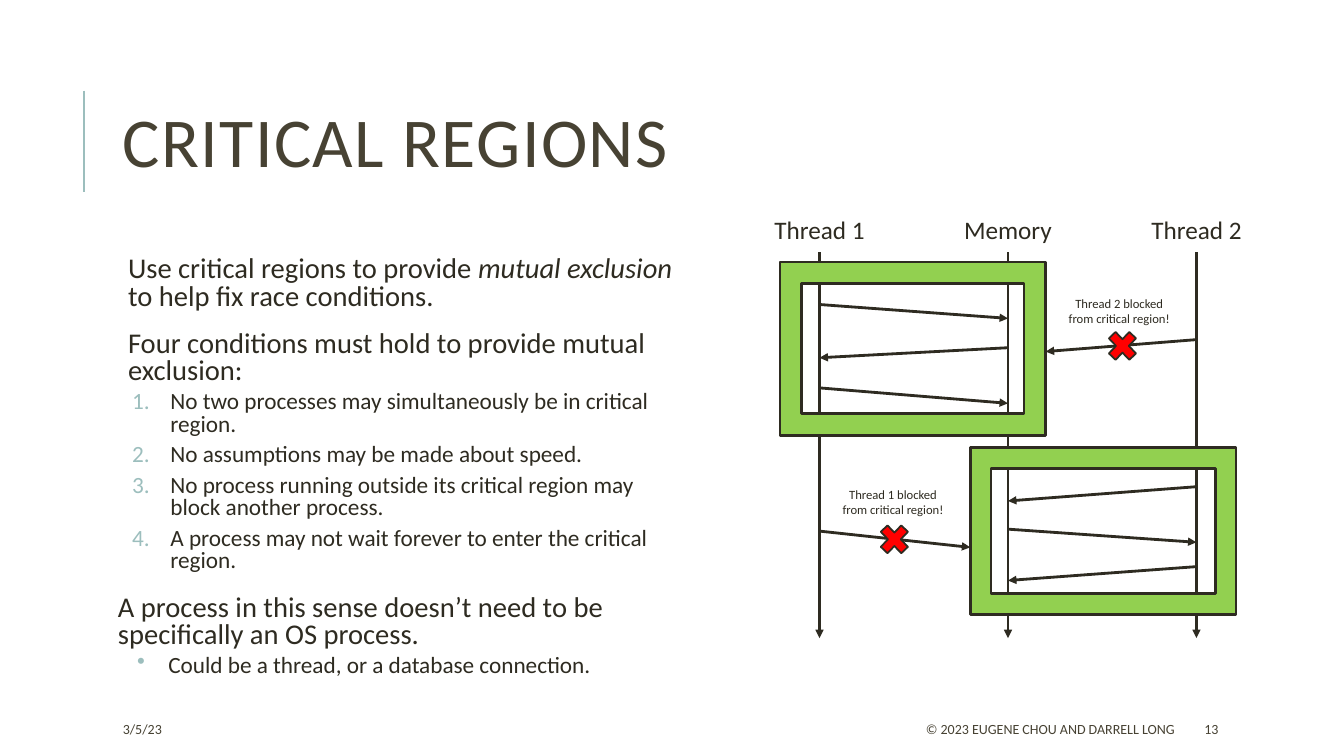
from lxml import etree
from pptx import Presentation
from pptx.dml.color import RGBColor
from pptx.enum.shapes import MSO_CONNECTOR, MSO_SHAPE
from pptx.enum.text import MSO_ANCHOR, PP_ALIGN
from pptx.oxml.ns import qn
from pptx.util import Emu, Inches, Pt

LINE = MSO_CONNECTOR.STRAIGHT
FRAME, CROSS = MSO_SHAPE.FRAME, MSO_SHAPE.MATH_MULTIPLY
LEFT, MID, RIGHT = PP_ALIGN.LEFT, PP_ALIGN.CENTER, PP_ALIGN.RIGHT
TOP, CENTER = MSO_ANCHOR.TOP, MSO_ANCHOR.MIDDLE
FONT = "Calibri"
HUES = {"ink": "2E2B21", "title": "474233", "accent": "9CBEBD",
        "region": "92D050", "stop": "FF0000"}

# Diagram grid: one column per lane, ten rows down the lanes (inches)
LANE_X, LANE_Y = 8.13, 2.5
COL, ROW = 1.87, 0.383

LANES = ["Thread 1", "Memory", "Thread 2"]
# Start column and row, end column and row
CALLS = [(0, 1.36, 1, 1.72), (1, 2.48, 0, 2.74), (0, 3.52, 1, 3.92),
         (2, 6.08, 1, 6.45), (1, 7.18, 2, 7.52), (2, 8.15, 1, 8.51)]
# Column, row, columns wide, rows high
REGIONS = [(-0.21, 0.26, 1.41, 4.49), (0.8, 5.07, 1.41, 4.31)]
# Thread, arrow, centre of the cross, centre of the note
BLOCKS = [(2, (2, 2.27, 1.2, 2.58), (1.61, 2.42), (1.59, 1.54)),
          (1, (0, 7.23, 0.8, 7.65), (0.4, 7.43), (0.39, 6.48))]

# Style: level, left margin, indent, space before, space after, size, bullet
STYLES = {
    "lead": (0, 0.1, 0, 12, 2, 20.4, None),
    "step": (1, 0.52, -0.38, 2, 4, 16.6, ("a:buAutoNum", "type", "arabicPeriod")),
    "plain": (0, 0, 0, 12, 2, 20.4, None),
    "dot": (1, 0.5, -0.31, 2, 4, 16.6, ("a:buChar", "char", "•")),
}
BODY = [
    ("lead", ["Use critical regions to provide ", "mutual exclusion",
              " to help fix race conditions."]),
    ("lead", ["Four conditions must hold to provide mutual exclusion:"]),
    ("step", ["No two processes may simultaneously be in critical region."]),
    ("step", ["No assumptions may be made about speed."]),
    ("step", ["No process running outside its critical region may block another process."]),
    ("step", ["A process may not wait forever to enter the critical region."]),
    ("plain", ["A process in this sense doesn’t need to be specifically an OS process."]),
    ("dot", ["Could be a thread, or a database connection."]),
]
# Left, width, alignment, text
FOOT = [(1.12, 2.36, LEFT, "3/5/23"),
        (5.3, 6.45, RIGHT, "© 2023 EUGENE CHOU AND DARRELL LONG"),
        (11.85, 1.06, LEFT, "13")]


def hue(name):
    return RGBColor.from_string(HUES[name])


def spot(col, row):
    """Turn a column and row of the diagram into inches."""
    return LANE_X + col * COL, LANE_Y + row * ROW


def style(run, size, color):
    run.font.name = FONT
    run.font.size = Pt(size)
    run.font.color.rgb = hue(color)


def add_box(slide, left, top, width, height, anchor=TOP):
    box = slide.shapes.add_textbox(*map(Inches, (left, top, width, height)))
    frame = box.text_frame
    frame.word_wrap = True
    frame.vertical_anchor = anchor
    return frame


def add_label(slide, area, text, size, color="ink", align=MID, anchor=TOP):
    frame = add_box(slide, *area, anchor)
    frame.text = text
    para = frame.paragraphs[0]
    para.alignment = align
    style(para.runs[0], size, color)
    return para


def add_line(slide, start, end, width, color="ink", arrow=True):
    line = slide.shapes.add_connector(LINE, *map(Inches, start + end))
    line.line.width = Pt(width)
    line.line.color.rgb = hue(color)
    if arrow:
        tail = etree.SubElement(line.line._get_or_add_ln(), qn("a:tailEnd"))
        tail.set("type", "triangle")
    etree.SubElement(line._element.spPr, qn("a:effectLst"))


def add_form(slide, kind, area, fill, width):
    form = slide.shapes.add_shape(kind, *map(Inches, area))
    form.shadow.inherit = False
    form.fill.solid()
    form.fill.fore_color.rgb = hue(fill)
    form.line.color.rgb = hue("ink")
    form.line.width = Pt(width)


def set_list(para, margin, indent, bullet):
    props = para._p.get_or_add_pPr()
    props.set("marL", str(Inches(margin)))
    props.set("indent", str(Inches(indent)))
    if bullet is None:
        etree.SubElement(props, qn("a:buNone"))
        return
    tag, key, value = bullet
    tint = etree.SubElement(props, qn("a:buClr"))
    etree.SubElement(tint, qn("a:srgbClr")).set("val", HUES["accent"])
    etree.SubElement(props, qn(tag)).set(key, value)


def add_title(slide):
    add_line(slide, (0.83, 0.9), (0.83, 1.9), 1.5, "accent", False)
    para = add_label(slide, (1.12, 0.64, 10.63, 1.64), "CRITICAL REGIONS",
                     50, "title", LEFT, CENTER)
    para.line_spacing = 0.8
    para.runs[0].font._element.set("spc", "100")


def add_body(slide):
    frame = add_box(slide, 1.12, 2.5, 5.62, 4.4)
    frame.margin_left = frame.margin_right = Inches(0.05)
    for index, (kind, parts) in enumerate(BODY):
        level, margin, indent, before, after, size, bullet = STYLES[kind]
        para = frame.add_paragraph() if index else frame.paragraphs[0]
        para.level = level
        set_list(para, margin, indent, bullet)
        para.line_spacing = 0.8
        para.space_before = Pt(before if index else 0)
        para.space_after = Pt(after)
        for part in parts:
            run = para.add_run()
            run.text = part
            style(run, size, "ink")
            run.font.italic = part == "mutual exclusion"


def add_lanes(slide):
    for col, name in enumerate(LANES):
        left, top = spot(col, 0)
        add_label(slide, (left - 0.72, top - 0.42, 1.44, 0.4), name, 18)
        add_line(slide, (left, top), spot(col, 10), 1.75)


def add_call(slide, call):
    add_line(slide, spot(*call[:2]), spot(*call[2:]), 2)


def add_block(slide, thread, call, cross, note):
    add_call(slide, call)
    left, top = spot(*cross)
    add_form(slide, CROSS, (left - 0.2, top - 0.2, 0.39, 0.41), "stop", 1.25)
    left, top = spot(*note)
    add_label(slide, (left - 0.63, top - 0.2, 1.26, 0.4),
              f"Thread {thread} blocked from critical region!", 9)


def main():
    deck = Presentation()
    deck.slide_width, deck.slide_height = Emu(12192000), Inches(7.5)
    slide = deck.slides.add_slide(deck.slide_layouts[6])
    add_title(slide)
    add_body(slide)
    add_lanes(slide)
    for call in CALLS:
        add_call(slide, call)
    for col, row, wide, high in REGIONS:
        area = (*spot(col, row), wide * COL, high * ROW)
        add_form(slide, FRAME, area, "region", 2)
    for block in BLOCKS:
        add_block(slide, *block)
    for left, width, align, text in FOOT:
        add_label(slide, (left, 7.08, width, 0.3), text, 10, "title", align, CENTER)
    deck.save("out.pptx")


if __name__ == "__main__":
    main()
